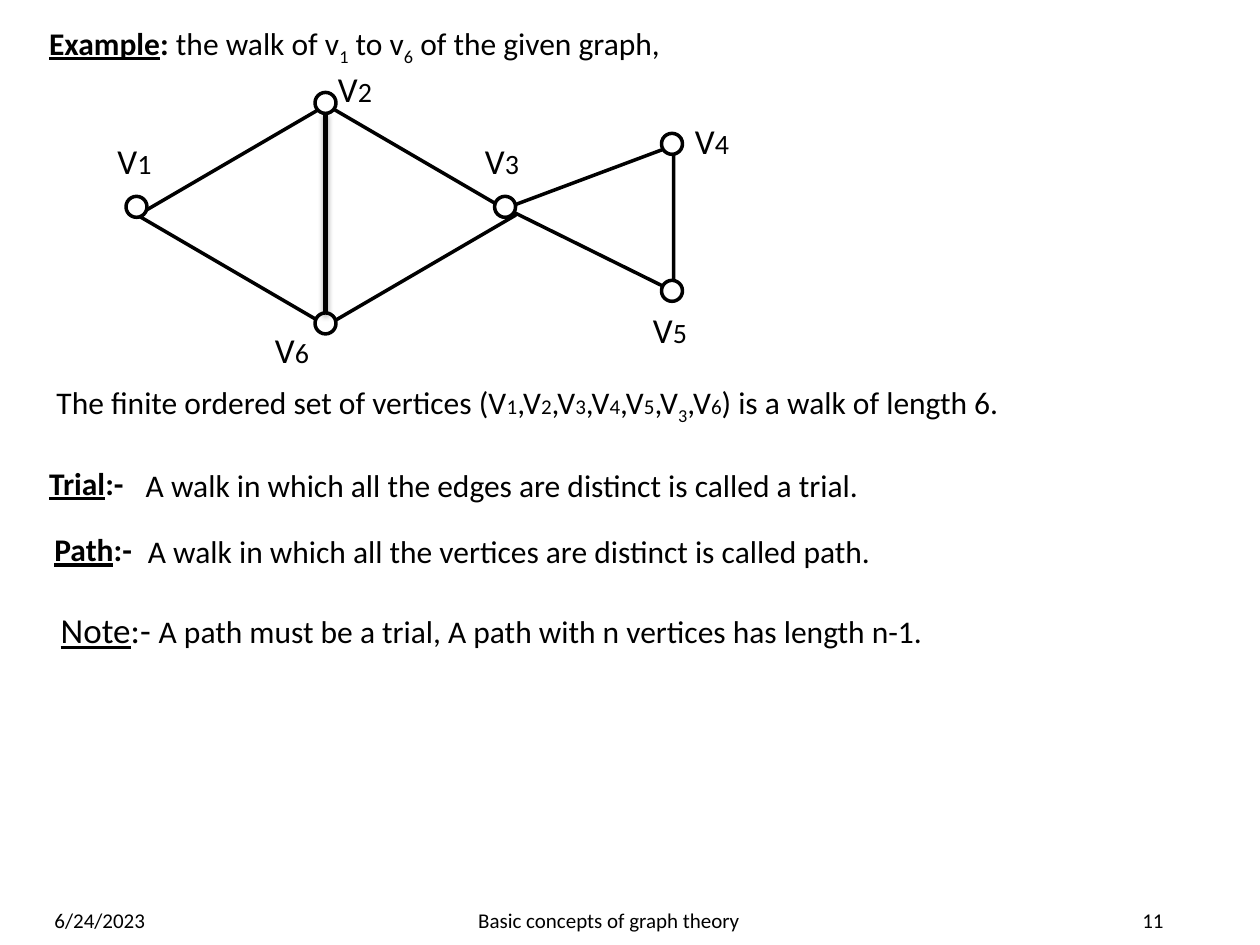
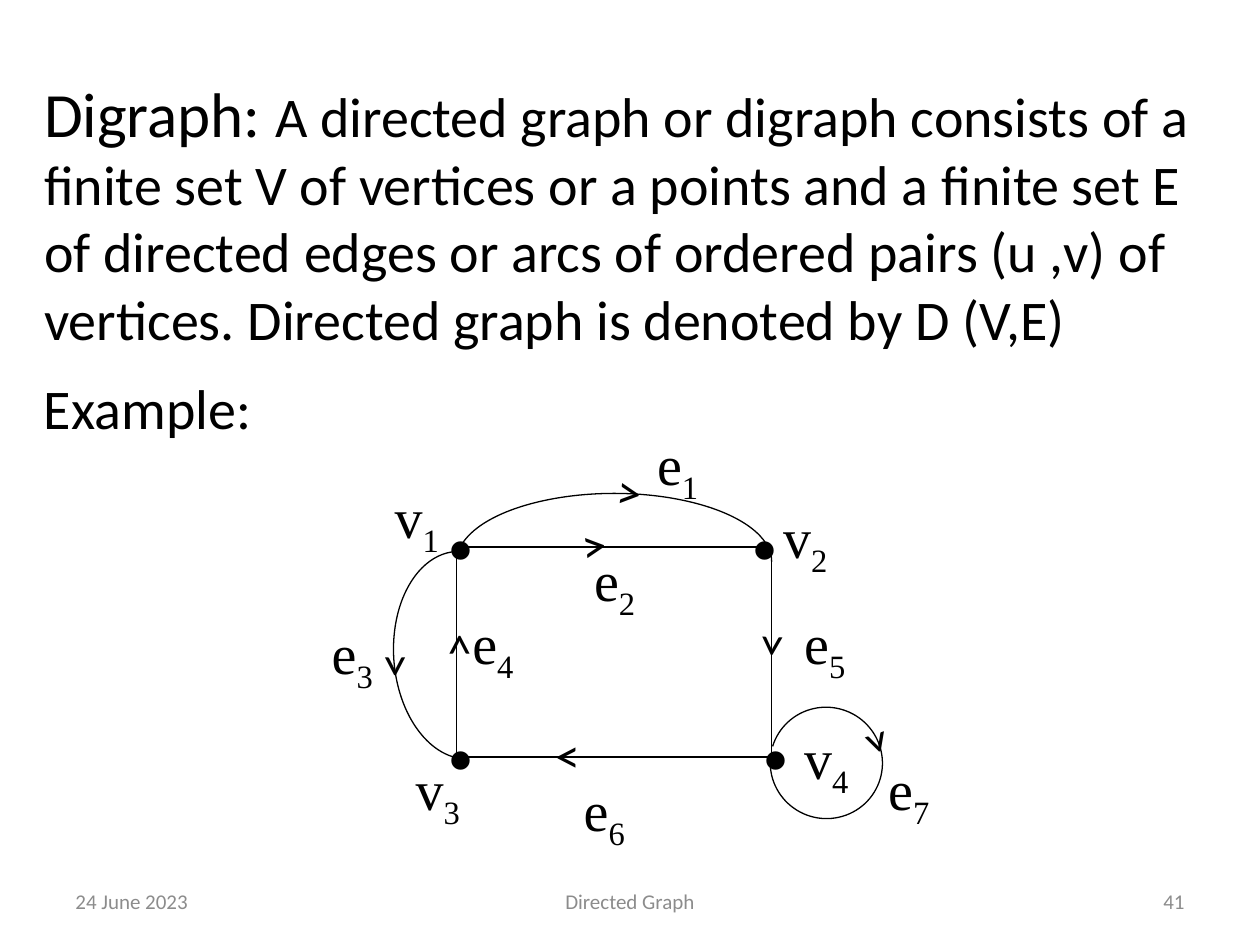
from dataclasses import dataclass

from lxml import etree
from pptx import Presentation
from pptx.dml.color import RGBColor
from pptx.enum.shapes import MSO_CONNECTOR, MSO_SHAPE as Shape
from pptx.enum.text import MSO_ANCHOR as Anchor, MSO_AUTO_SIZE as AutoSize, PP_ALIGN as Align
from pptx.oxml.ns import qn
from pptx.slide import Slide
from pptx.util import Emu, Inches, Pt

COLORS = {"ink": "000000", "paper": "FFFFFF", "muted": "8C8C8C"}
SANS, SERIF = "Calibri", "Times New Roman"
CELL = Inches(1) / 12
SUB = {"sub": True}
HEAD = {"bold": True, "underline": True}
BOLD = {"bold": True}
PLAIN = {}


@dataclass
class Region:
    """A part of a page, measured in grid cells from its top left corner."""

    page: Slide
    col: float
    row: float

    def point(self, col, row):
        """Return the slide position of a grid point."""
        return Emu(round((self.col + col) * CELL)), Emu(round((self.row + row) * CELL))

    def place(self, col, row, width, height):
        """Return the slide position and size of a block of cells."""
        return *self.point(col, row), Emu(round(width * CELL)), Emu(round(height * CELL))


def color(name):
    """Return a palette colour."""
    return RGBColor.from_string(COLORS[name])


def write(frame, spans, size, font=SANS, ink="ink", align=Align.LEFT, anchor=Anchor.TOP):
    """Fill a text frame with one paragraph of styled spans."""
    frame.word_wrap = True
    frame.auto_size = AutoSize.NONE
    frame.vertical_anchor = anchor
    para = frame.paragraphs[0]
    para.alignment = align
    para.font.name = font
    para.font.size = Pt(size)
    para.font.color.rgb = color(ink)
    for text, style in spans:
        span = para.add_run()
        span.text = text
        if "size" in style:
            span.font.size = Pt(style["size"])
        if "bold" in style:
            span.font.bold = True
        if "underline" in style:
            span.font.underline = True
        if "sub" in style:
            span.font._element.set("baseline", "-25000")


def add_text(region, block, spans, size, **look):
    """Add a text box over a block of cells."""
    box = region.page.shapes.add_textbox(*region.place(*block))
    write(box.text_frame, spans, size, **look)
    return box


def add_outline(region, kind, block, weight, fill="paper", turn=0):
    """Add a preset shape with a black outline."""
    shape = region.page.shapes.add_shape(kind, *region.place(*block))
    shape.shadow.inherit = False
    shape.rotation = turn
    shape.line.color.rgb = color("ink")
    shape.line.width = Pt(weight)
    if fill:
        shape.fill.solid()
        shape.fill.fore_color.rgb = color(fill)
    else:
        shape.fill.background()
    return shape


def add_edge(region, start, end, weight):
    """Add a straight black edge and return its effect list."""
    edge = region.page.shapes.add_connector(
        MSO_CONNECTOR.STRAIGHT, *region.point(*start), *region.point(*end))
    edge.line.color.rgb = color("ink")
    edge.line.width = Pt(weight)
    return etree.SubElement(edge._element.spPr, qn("a:effectLst"))


def add_soft_shadow(effects):
    """Put a soft downward shadow into an effect list."""
    shadow = etree.SubElement(effects, qn("a:outerShdw"), blurRad=str(Pt(3.1)),
                              dist=str(Pt(1.8)), dir="5400000", rotWithShape="0")
    tint = etree.SubElement(shadow, qn("a:srgbClr"), val=COLORS["ink"])
    etree.SubElement(tint, qn("a:alpha"), val="35000")


def add_footer(region, date, topic, number, ink):
    """Add the date, topic and page number."""
    parts = [(date, 0, 28, Align.LEFT), (topic, 35, 38, Align.CENTER),
             (number, 80, 28, Align.RIGHT)]
    for text, col, width, align in parts:
        add_text(region, (col, 0, width, 4.8), [(text, PLAIN)], 12,
                 ink=ink, align=align, anchor=Anchor.MIDDLE)


def add_walk_graph(region):
    """Draw the undirected graph with six vertices."""
    vertices = [(3, 13.9, 0, 6.9), (21, 4, 21, 0), (38.1, 13.9, 35, 6.9),
                (54, 7.9, 55, 5), (54, 21.9, 51, 23), (21, 25, 15, 24.9)]
    add_outline(region, Shape.FLOWCHART_DECISION, (3.1, 4.2, 36, 21), 2)
    triangle = add_outline(region, Shape.ISOSCELES_TRIANGLE, (39.2, 7, 13.9, 16), 2, turn=270)
    triangle.adjustments[0] = 0.57
    for col, row, _, _ in vertices:
        add_outline(region, Shape.FLOWCHART_CONNECTOR, (col - 1, row - 1, 2, 2), 2)
    for number, (_, _, col, row) in enumerate(vertices, 1):
        add_text(region, (col, row, 8, 5.3), [("V", PLAIN), (str(number), {"size": 16})], 20)
    add_soft_shadow(add_edge(region, (21, 4.9), (21, 24), 3))


def add_statements(region):
    """Write the walk example and the definitions."""
    small = {"size": 12}
    walk = [("The finite ordered set of vertices (", PLAIN)]
    steps = [(digit, small) for digit in "12345"] + [("3", SUB), ("6", small)]
    for index, step in enumerate(steps):
        walk += [(",V" if index else "V", PLAIN), step]
    walk.append((") is a walk of length 6.", PLAIN))
    example = [("Example", HEAD), (": ", BOLD), ("the walk of v", PLAIN), ("1", SUB),
               (" to v", PLAIN), ("6", SUB), (" of the given graph,", PLAIN)]
    note = [("Note", {"underline": True, "size": 20}), (":- ", {"size": 20}),
            ("A path must be a trial, A path with n vertices has length n-1.", PLAIN)]
    lines = [
        (0, 0, 66, example),
        (0.7, 34.2, 96, walk),
        (0, 41.9, 12, [("Trial", HEAD), (":-", BOLD)]),
        (9.2, 42.1, 80,
         [("A walk in which all the edges are distinct is called a trial.", PLAIN)]),
        (0.5, 48.2, 12, [("Path", HEAD), (":-", BOLD)]),
        (9.4, 48.4, 80,
         [("A walk in which all the vertices are distinct is called path.", PLAIN)]),
        (1.1, 55.7, 87, note),
    ]
    for col, row, width, spans in lines:
        add_text(region, (col, row, width, 4.8), spans, 18)


def add_digraph(region):
    """Draw the directed graph with four vertices and seven arcs."""
    left, right, top, bottom = 13.5, 43.5, 12.1, 32.1
    corners = [(left, top), (right, top), (right, bottom), (left, bottom)]
    for start, end in zip(corners, corners[1:] + corners[:1]):
        add_edge(region, start, end, 0.75)

    arcs = [((left, 7, 30, 13), 0, 184, 0), ((4.2, 15.8, 19.8, 13.2), 265.9, 184, 0),
            ((43.4, 27.3, 10.6, 10.7), 287.1, 270, 262.4)]
    for block, turn, start, end in arcs:
        arc = add_outline(region, Shape.ARC, block, 0.75, fill=None, turn=turn)
        arc.adjustments[0] = start * 0.6
        arc.adjustments[1] = end * 0.6

    arrows = [(41.5, 18.1, 92.5), (5.6, 20.1, 90), (11, 18.1, 270), (21.6, 29.2, 180),
              (27.6, 3.3, 6.8), (24.2, 8.4, 353.3), (51.5, 27.2, 72)]
    for col, row, turn in arrows:
        add_text(region, (col, row, 4.8, 6.8), [("˃", PLAIN)], 28).rotation = turn

    for col, row in [(11.4, 7), (40.4, 7), (41.4, 27), (11.4, 27)]:
        add_text(region, (col, row, 5, 10), [("•", PLAIN)], 44, font=SERIF)

    labels = {"v1": (6.4, 5.4), "v2": (43.4, 7.3), "v3": (8.4, 31.3), "v4": (45.4, 28.3),
              "e1": (31.4, 0.3), "e2": (25.4, 11.4), "e3": (0.4, 18.3), "e4": (13.8, 17.4),
              "e5": (45.4, 17.4), "e6": (24.4, 33.3), "e7": (53.4, 31.3)}
    for (letter, digit), (col, row) in labels.items():
        add_text(region, (col, row, 8, 7.7), [(letter, PLAIN), (digit, SUB)], 32, font=SERIF)


def add_definition(region):
    """Write the digraph definition in the title and the example heading."""
    title = region.page.shapes.title
    title.left, title.top, title.width, title.height = region.place(0, 0, 114, 34.5)
    spans = [("Digraph: ", {"size": 36}),
             ("A directed graph or digraph consists of a finite set V of vertices or a points "
              "and a finite set E of directed edges or arcs of ordered pairs (u ,v) of vertices. "
              "Directed graph is denoted by D (V,E)", PLAIN)]
    write(title.text_frame, spans, 32, anchor=Anchor.MIDDLE)
    add_text(region, (0, 32, 106, 7.7), [("Example:", PLAIN)], 32)


def build_walk_page(deck):
    """Build the page on walks, trials and paths."""
    page = deck.slides.add_slide(deck.slide_layouts[6])
    add_walk_graph(Region(page, 10, 5.8))
    add_statements(Region(page, 3.5, 1.7))
    add_footer(Region(page, 4, 85.2), "6/24/2023", "Basic concepts of graph theory", "11", "ink")


def build_digraph_page(deck):
    """Build the page on directed graphs."""
    page = deck.slides.add_slide(deck.slide_layouts[5])
    add_definition(Region(page, 3, 3))
    add_digraph(Region(page, 30, 40))
    add_footer(Region(page, 6, 83.4), "24 June 2023", "Directed Graph", "41", "muted")


def main():
    """Build and save the deck."""
    deck = Presentation()
    deck.slide_width, deck.slide_height = Inches(10), Inches(7.5)
    build_walk_page(deck)
    build_digraph_page(deck)
    deck.save("out.pptx")


if __name__ == "__main__":
    main()
